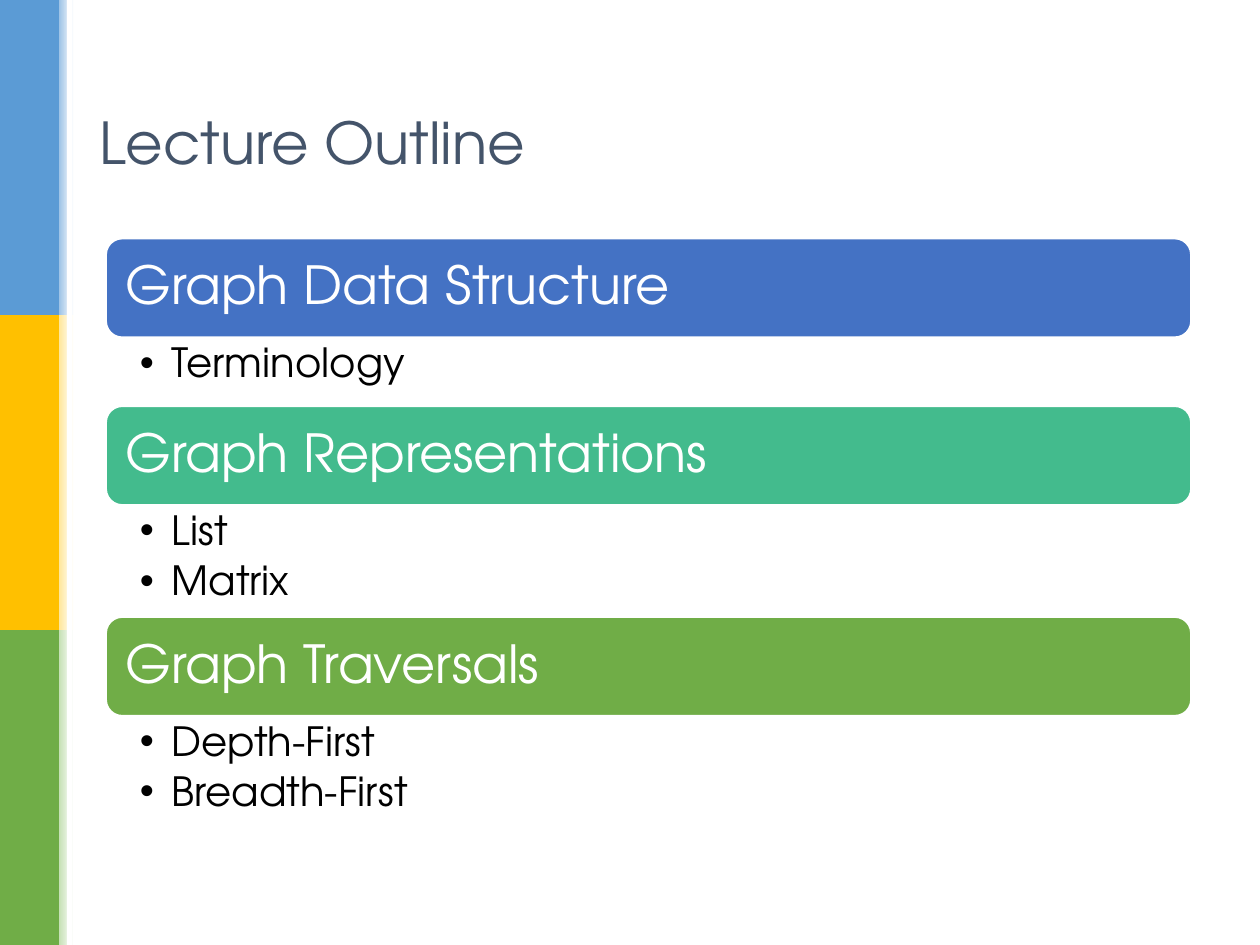
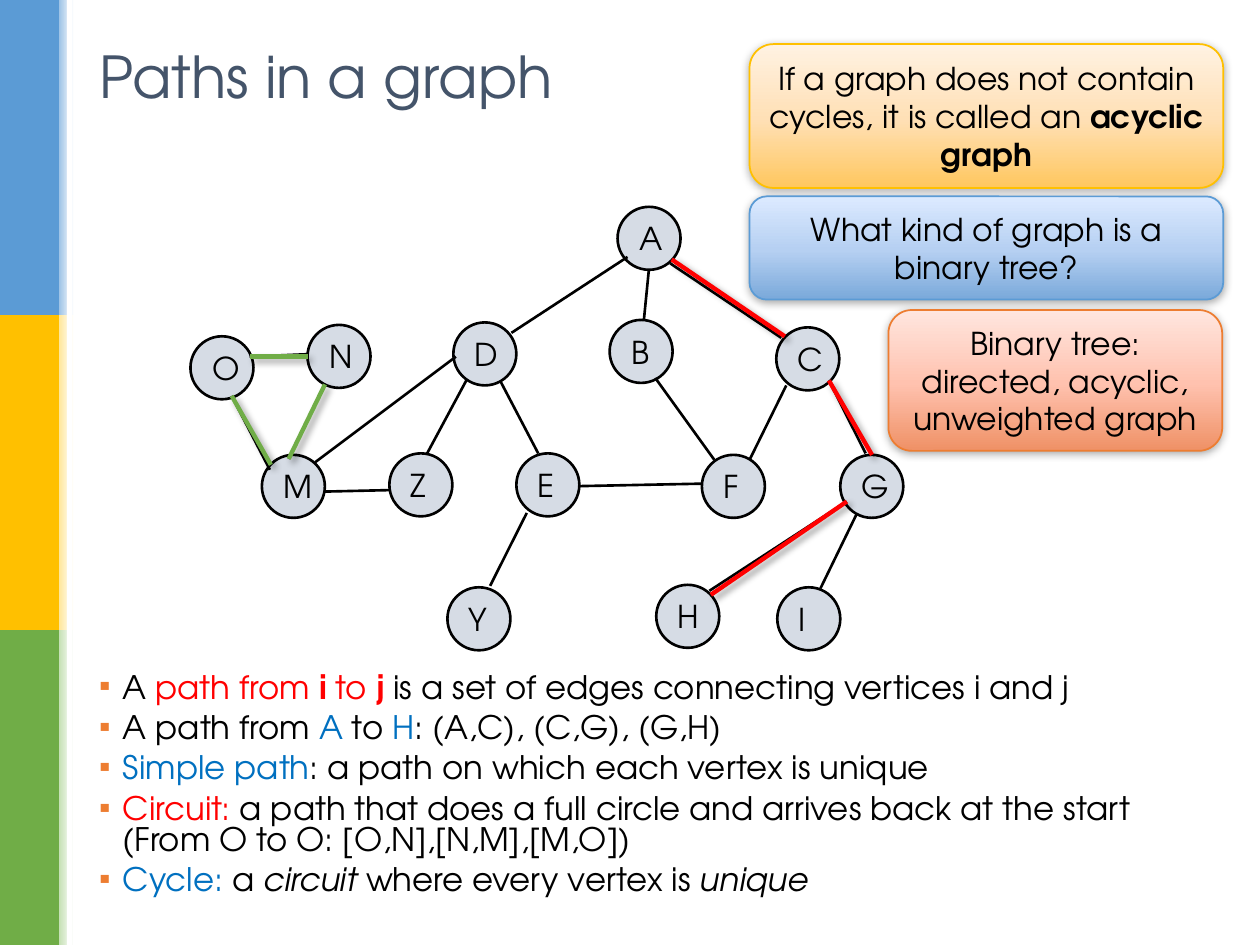
import pptx
import pptx.util
import pptx.dml.color
import pptx.enum.shapes
import pptx.enum.text
import pptx.oxml
import pptx.oxml.ns

Cm = pptx.util.Cm
Pt = pptx.util.Pt
RGB = pptx.dml.color.RGBColor.from_string
Kind = pptx.enum.shapes.MSO_SHAPE
Align = pptx.enum.text.PP_ALIGN
Anchor = pptx.enum.text.MSO_ANCHOR
qn = pptx.oxml.ns.qn
NS = pptx.oxml.ns.nsdecls("a")


class Theme:
    font = "TeX Gyre Adventor"
    black, white, slate = "000000", "FFFFFF", "44546A"
    blue, teal, green = "4472C4", "43BB8D", "70AD47"
    sky, gold, rust = "5B9BD5", "FFC000", "ED7D31"
    red, link, node = "FF0000", "0070C0", "D6DCE5"
    head, bar, list, body, label = 33, 30, 23, 18.5, 18


def put(frame, paras, size=Theme.label, color=Theme.black, align=Align.LEFT,
        anchor=Anchor.TOP, wrap=True, inset=(0.25, 0.13, 0.25, 0.13),
        lines=1.0, before=0, after=0, mark=None, tint=Theme.black, hang=0):
    frame.auto_size = pptx.enum.text.MSO_AUTO_SIZE.NONE
    frame.word_wrap = wrap
    frame.vertical_anchor = anchor
    frame.margin_left, frame.margin_top, frame.margin_right, frame.margin_bottom = map(Cm, inset)
    for i, runs in enumerate(paras):
        para = frame.add_paragraph() if i else frame.paragraphs[0]
        para.alignment = align
        para.line_spacing = lines
        para.space_before = Pt(before if i else 0)
        para.space_after = Pt(after)
        if mark:
            props = para._p.get_or_add_pPr()
            props.set("marL", str(Cm(hang)))
            props.set("indent", str(-Cm(hang)))
            for xml in (f'<a:buClr {NS}><a:srgbClr val="{tint}"/></a:buClr>',
                        f'<a:buFont {NS} typeface="Arial"/>',
                        f'<a:buChar {NS} char="{mark}"/>'):
                props.append(pptx.oxml.parse_xml(xml))
        for part in [runs] if isinstance(runs, str) else runs:
            words, look = (part, {}) if isinstance(part, str) else part
            run = para.add_run()
            run.text = words
            run.font.name = Theme.font
            run.font.size = Pt(size)
            run.font.bold = look.get("bold", False)
            run.font.italic = look.get("slant", False)
            run.font.color.rgb = RGB(look.get("color", color))


def style(shape, stops=None, angle=0, shade=None):
    if stops:
        shape.fill.gradient()
        shape.fill.gradient_angle = angle
        ramp = shape.element.spPr.find(qn("a:gradFill")).find(qn("a:gsLst"))
        for stop in list(ramp):
            ramp.remove(stop)
        for spot, tone in stops:
            ramp.append(pptx.oxml.parse_xml(
                f'<a:gs {NS} pos="{spot * 1000}"><a:srgbClr val="{tone}"/></a:gs>'))
    props = shape.element.spPr
    old = props.find(qn("a:effectLst"))
    if old is not None:
        props.remove(old)
    cast = ""
    if shade:
        alpha, blur, dist, turn = shade
        cast = (f'<a:outerShdw blurRad="{Pt(blur)}" dist="{Pt(dist)}" dir="{turn * 60000}" '
                f'algn="ctr" rotWithShape="0"><a:srgbClr val="000000">'
                f'<a:alpha val="{alpha * 1000}"/></a:srgbClr></a:outerShdw>')
    props.append(pptx.oxml.parse_xml(f"<a:effectLst {NS}>{cast}</a:effectLst>"))


deck = pptx.Presentation()
deck.slide_width, deck.slide_height = Cm(25.4), Cm(19.05)
base = deck.slide_layouts[5]
first, second = [deck.slides.add_slide(base) for _ in range(2)]

# shared side band
third = 6.35
strips = [(1.35, 0, 0.1, 19.05, Theme.white, None)]
for row, (tone, pale) in enumerate([(Theme.sky, "9DC3E6"), (Theme.gold, "FFE699"), (Theme.green, "C5E0B4")]):
    strips.insert(0, (1.19, row * third, 0.3, third, tone, [(0, pale), (100, Theme.white)]))
    strips.insert(0, (0, row * third, 1.19, third, tone, None))
for i, (left, top, wide, high, tone, stops) in enumerate(strips):
    strip = first.shapes.add_shape(Kind.RECTANGLE, Cm(left), Cm(top), Cm(wide), Cm(high))
    strip.fill.solid()
    strip.fill.fore_color.rgb = RGB(tone)
    strip.line.fill.background()
    style(strip, stops)
    strip.element.xpath("p:nvSpPr/p:cNvPr")[0].set("id", str(20 + i))
    base.shapes.element.insert(2 + i, strip.element)

for slide, words, top, high in [(first, "Lecture Outline", 1.02, 3.68),
                                (second, "Paths in a graph", 0.66, 1.73)]:
    title = slide.shapes.title
    title.left, title.top, title.width, title.height = Cm(1.75), Cm(top), Cm(21.89), Cm(high)
    put(title.text_frame, [words], size=Theme.head, color=Theme.slate, anchor=Anchor.MIDDLE)

top, thick = 4.8, 2.01
for words, tone, items, high in [
        ("Graph Data Structure", Theme.blue, ["Terminology"], 1.37),
        ("Graph Representations", Theme.teal, ["List", "Matrix"], 2.24),
        ("Graph Traversals", Theme.green, ["Depth-First", "Breadth-First"], 2.24)]:
    bar = first.shapes.add_shape(Kind.ROUNDED_RECTANGLE, Cm(2.13), Cm(top), Cm(21.89), Cm(thick))
    bar.fill.solid()
    bar.fill.fore_color.rgb = RGB(tone)
    bar.line.color.rgb = RGB(Theme.white)
    bar.line.width = Pt(1.5)
    bar.shadow.inherit = False
    put(bar.text_frame, [words], size=Theme.bar, color=Theme.white, anchor=Anchor.MIDDLE,
        inset=(0.3, 0.3, 0.3, 0.3), lines=0.9)
    box = first.shapes.add_textbox(Cm(2.13), Cm(top + thick), Cm(21.89), Cm(high))
    put(box.text_frame, items, size=Theme.list, inset=(0.69, 0.1, 0.58, 0.1),
        lines=0.9, after=4, mark="•", hang=0.64)
    top += thick + high

nodes = {"A": (12.45, 4.17), "B": (12.29, 6.45), "C": (15.65, 6.6), "D": (9.14, 6.5),
         "E": (10.41, 9.14), "F": (14.15, 9.17), "G": (16.94, 9.17), "H": (13.23, 11.79),
         "I": (15.67, 11.84), "M": (5.28, 9.17), "N": (6.2, 6.55), "O": (3.84, 6.78),
         "Y": (9.02, 11.84), "Z": (7.85, 9.14)}
for name, (left, top) in nodes.items():
    node = second.shapes.add_shape(Kind.OVAL, Cm(left), Cm(top), Cm(1.27), Cm(1.27))
    node.fill.solid()
    node.fill.fore_color.rgb = RGB(Theme.node)
    node.line.color.rgb = RGB(Theme.black)
    node.line.width = Pt(1.5)
    node.shadow.inherit = False
    put(node.text_frame, [name], anchor=Anchor.MIDDLE, wrap=False)

edges = [(12.65, 5.18, 10.31, 6.71), (17.07, 10.11, 14.3, 11.91), (13.51, 5.31, 15.75, 6.81),
         (9.4, 7.67, 8.61, 9.14), (15.85, 7.77, 15.11, 9.27), (10.08, 7.67, 10.85, 9.14),
         (16.71, 7.67, 17.45, 9.14), (4.67, 7.98, 5.44, 9.47), (6.55, 7.75, 5.82, 9.25),
         (10.62, 10.34, 9.88, 11.81), (13.08, 5.44, 12.98, 6.45), (9.19, 7.19, 6.35, 9.32),
         (17.27, 10.36, 16.54, 11.86), (14.15, 9.75, 11.66, 9.8), (14.4, 9.27, 13.21, 7.62),
         (6.2, 7.14, 5.03, 7.19), (7.85, 9.88, 6.53, 9.91)]
route = [(15.82, 6.78, 13.54, 5.23), (16.71, 7.67, 17.58, 9.17), (17.07, 10.11, 14.33, 11.99)]
ring = [(6.2, 7.19, 5.03, 7.19), (6.55, 7.75, 5.82, 9.25), (5.46, 9.37, 4.67, 7.98)]
for group, tone, width, shade in [(edges, Theme.black, 1.5, None),
                                  (route, Theme.red, 2.5, (40, 4, 3, 45)),
                                  (ring, Theme.green, 2.5, (40, 4, 3, 45))]:
    for ends in group:
        edge = second.shapes.add_connector(pptx.enum.shapes.MSO_CONNECTOR.STRAIGHT, *map(Cm, ends))
        edge.line.color.rgb = RGB(tone)
        edge.line.width = Pt(width)
        style(edge, shade=shade)

red, link = {"color": Theme.red}, {"color": Theme.link}
strong, slant = {"color": Theme.red, "bold": True}, {"slant": True}
notes = second.shapes.add_textbox(Cm(1.75), Cm(13.46), Cm(22.66), Cm(5.26))
put(notes.text_frame, [
    ["A ", ("path from ", red), ("i", strong), (" to ", red), ("j", strong),
     " is a set of edges connecting vertices i and j"],
    ["A path from ", ("A", link), " to ", ("H", link), ": (A,C), (C,G), (G,H)"],
    [("Simple path", link), ": a path on which each vertex is unique"],
    [("Circuit:", red), " a path that does a full circle and arrives back at the start "
     "(From O to O: [O,N],[N,M],[M,O])"],
    [("Cycle: ", link), "a ", ("circuit", slant), " where every vertex is ", ("unique", slant)],
], size=Theme.body, lines=0.8, before=5.3, mark="▪", tint=Theme.rust, hang=0.48)

for left, top, wide, high, tone, ramp, words in [
        (15.11, 0.89, 9.55, 2.9, Theme.gold, ("FFC75E", "FFE0B6", "FFF2E2"),
         ["If a graph does not contain cycles, it is called an ", ("acyclic graph", {"bold": True})]),
        (15.11, 3.96, 9.55, 2.08, Theme.sky, ("7AA9DA", "B6D0F2", "DCEAFF"),
         "What kind of graph is a binary tree?"),
        (17.91, 6.25, 6.73, 2.84, Theme.rust, ("EF9166", "FFC2AF", "FFE6DF"),
         "Binary tree: directed, acyclic, unweighted graph")]:
    card = second.shapes.add_shape(Kind.ROUNDED_RECTANGLE, Cm(left), Cm(top), Cm(wide), Cm(high))
    card.line.color.rgb = RGB(tone)
    card.line.width = Pt(1)
    style(card, zip((0, 48, 100), ramp), 90, (32, 5, 1, 90))
    put(card.text_frame, [words], align=Align.CENTER, anchor=Anchor.MIDDLE)

deck.save("out.pptx")
